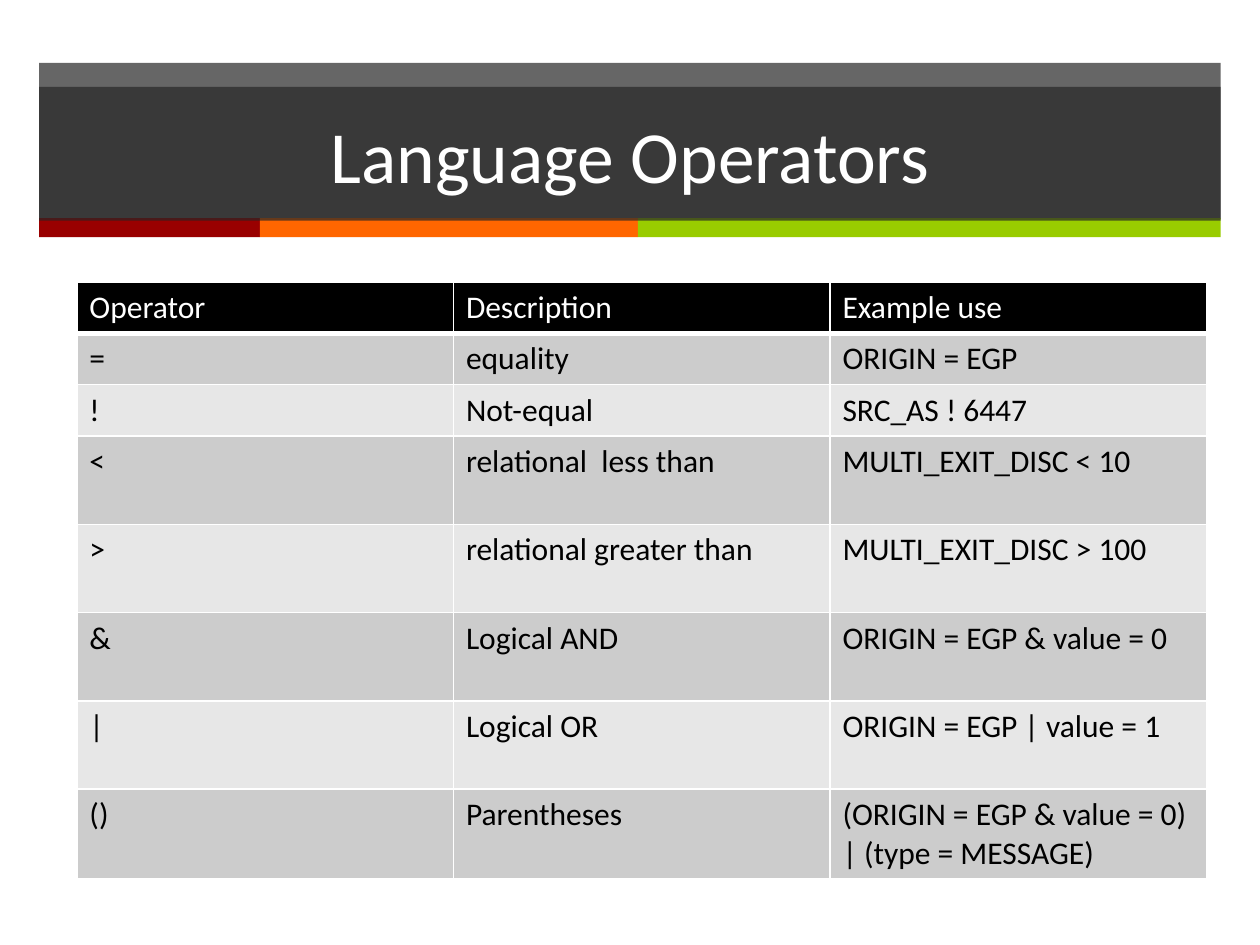
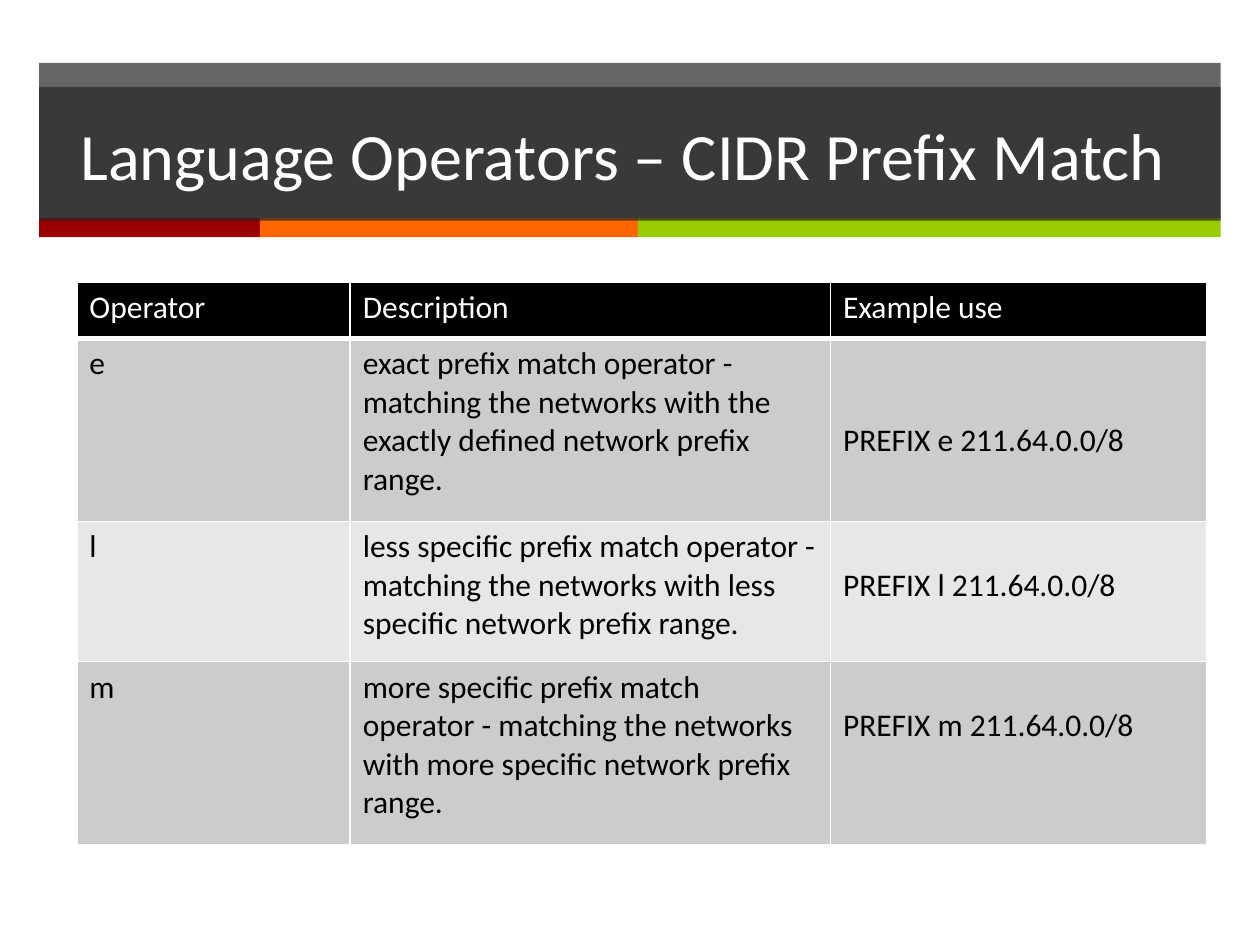
"""Build two slides that list the operators of a query language in tables."""
from dataclasses import dataclass
from typing import Optional

import lxml.etree
import pptx
import pptx.dml.color
import pptx.enum.shapes
import pptx.enum.text
import pptx.oxml.ns
import pptx.shapes.autoshape
import pptx.slide
import pptx.table
import pptx.text.text
import pptx.util

Cm = pptx.util.Cm
Pt = pptx.util.Pt
qn = pptx.oxml.ns.qn


@dataclass(frozen=True)
class Theme:
    font: str = "Calibri"
    white: str = "FFFFFF"
    black: str = "000000"
    band: str = "262626"
    band_opacity: int = 70
    stripes: tuple[str, ...] = ("990000", "FF6600", "99CC00")
    rows: tuple[str, ...] = ("CCCCCC", "E7E7E7")
    body_size: float = 18
    rule: float = 1
    header_rule: float = 3


@dataclass(frozen=True)
class Box:
    left: float
    top: float
    width: float
    height: float


@dataclass(frozen=True)
class Operator:
    symbol: str
    description: str
    example: str
    height: float
    example_drop: float = 0


@dataclass(frozen=True)
class OperatorSlide:
    title: str
    title_size: float
    columns: tuple[float, ...]
    header_height: float
    operators: tuple[Operator, ...]


THEME = Theme()
BAND = Box(0.79, 1.27, 23.82, 3.15)
TITLE = Box(0.79, 1.75, 23.82, 2.7)
STRIPE_TOP, STRIPE_HEIGHT = 4.4, 0.38
STRIPE_WIDTHS = (4.45, 7.62, 11.75)
TABLE_LEFT, TABLE_TOP = 1.55, 5.69
CELL_TOP = 0.13
LINE = 0.775
SHORT, TALL = 1.03, 1.78
HEADINGS = ("Operator", "Description", "Example use")

SLIDES = (
    OperatorSlide("Language Operators", 42, (7.59, 7.59, 7.59), SHORT, (
        Operator("=", "equality", "ORIGIN = EGP", SHORT),
        Operator("!", "Not-equal", "SRC_AS ! 6447", SHORT),
        Operator("<", "relational  less than", "MULTI_EXIT_DISC < 10", TALL),
        Operator(">", "relational greater than", "MULTI_EXIT_DISC > 100", TALL),
        Operator("&", "Logical AND", "ORIGIN = EGP & value = 0", TALL),
        Operator("|", "Logical OR", "ORIGIN = EGP | value = 1", TALL),
        Operator("()", "Parentheses",
                 "(ORIGIN = EGP & value = 0) | (type = MESSAGE)", TALL),
    )),
    OperatorSlide("Language Operators – CIDR Preﬁx Match ", 37.8, (5.51, 9.68, 7.59), 1.13, (
        Operator("e", "exact preﬁx match operator - matching the networks with the "
                 "exactly deﬁned network preﬁx range.",
                 "PREFIX e 211.64.0.0/8", 3.69, 2 * LINE),
        Operator("l", "less speciﬁc preﬁx match operator - matching the networks with "
                 "less speciﬁc network preﬁx range.",
                 "PREFIX l 211.64.0.0/8", 2.83, LINE),
        Operator("m", "more speciﬁc preﬁx match operator - matching the networks with "
                 "more speciﬁc network preﬁx\nrange.",
                 "PREFIX m 211.64.0.0/8", 3.69, LINE),
    )),
)


def rgb(color: str) -> pptx.dml.color.RGBColor:
    """Turn a hex string into a colour."""
    return pptx.dml.color.RGBColor.from_string(color)


def write(tf: pptx.text.text.TextFrame, text: str, *, size: float, color: str,
          align: Optional[pptx.enum.text.PP_ALIGN] = None) -> None:
    """Fill a text frame, one paragraph for each line of text."""
    for i, line in enumerate(text.split("\n")):
        p = tf.add_paragraph() if i else tf.paragraphs[0]
        p.alignment = align
        r = p.add_run()
        r.text = line
        r.font.name = THEME.font
        r.font.size = Pt(size)
        r.font.bold = False
        r.font.color.rgb = rgb(color)


def add_rect(s: pptx.slide.Slide, box: Box, color: str,
             opacity: int = 100) -> pptx.shapes.autoshape.Shape:
    """Draw a plain filled rectangle."""
    sp = s.shapes.add_shape(pptx.enum.shapes.MSO_SHAPE.RECTANGLE, Cm(box.left), Cm(box.top),
                            Cm(box.width), Cm(box.height))
    sp.shadow.inherit = False
    sp.line.fill.background()
    sp.fill.solid()
    sp.fill.fore_color.rgb = rgb(color)
    if opacity < 100:
        clr = sp.fill._xPr.find(f".//{qn('a:srgbClr')}")
        lxml.etree.SubElement(clr, qn("a:alpha"), val=str(opacity * 1000))
    return sp


def add_heading(s: pptx.slide.Slide, title: str, size: float) -> None:
    """Draw the band, the coloured stripes and the title over them."""
    add_rect(s, BAND, THEME.band, THEME.band_opacity)
    left = BAND.left
    for width, color in zip(STRIPE_WIDTHS, THEME.stripes):
        add_rect(s, Box(left, STRIPE_TOP, width, STRIPE_HEIGHT), color)
        left += width
    sp = add_rect(s, TITLE, THEME.band, THEME.band_opacity)
    tf = sp.text_frame
    tf.word_wrap = True
    tf.vertical_anchor = pptx.enum.text.MSO_ANCHOR.MIDDLE
    write(tf, title, size=size, color=THEME.white, align=pptx.enum.text.PP_ALIGN.CENTER)


def add_borders(cell: pptx.table._Cell, bottom: float) -> None:
    """Rule the four sides of a cell in white."""
    tc_pr = cell._tc.get_or_add_tcPr()
    for side in "LRTB":
        width = bottom if side == "B" else THEME.rule
        ln = lxml.etree.SubElement(tc_pr, qn(f"a:ln{side}"), w=str(Pt(width)))
        fill = lxml.etree.SubElement(ln, qn("a:solidFill"))
        lxml.etree.SubElement(fill, qn("a:srgbClr"), val=THEME.white)


def fill_cell(cell: pptx.table._Cell, text: str, *, fill: str, color: str,
              bottom: float = THEME.rule, drop: float = 0) -> None:
    """Format one cell, its text lowered by the given drop."""
    add_borders(cell, bottom)
    cell.fill.solid()
    cell.fill.fore_color.rgb = rgb(fill)
    cell.margin_top = Cm(CELL_TOP + drop)
    write(cell.text_frame, text, size=THEME.body_size, color=color)


def add_operator_table(s: pptx.slide.Slide, content: OperatorSlide) -> None:
    """Draw the table of operators."""
    heights = (content.header_height, *(op.height for op in content.operators))
    table = s.shapes.add_table(len(heights), len(HEADINGS), Cm(TABLE_LEFT), Cm(TABLE_TOP),
                               Cm(sum(content.columns)), Cm(sum(heights))).table
    for column, width in zip(table.columns, content.columns):
        column.width = Cm(width)
    for row, height in zip(table.rows, heights):
        row.height = Cm(height)
    for c, heading in enumerate(HEADINGS):
        fill_cell(table.cell(0, c), heading, fill=THEME.black, color=THEME.white,
                  bottom=THEME.header_rule)
    for i, op in enumerate(content.operators):
        drops = (0, 0, op.example_drop)
        for c, text in enumerate((op.symbol, op.description, op.example)):
            fill_cell(table.cell(i + 1, c), text, fill=THEME.rows[i % 2],
                      color=THEME.black, drop=drops[c])


def main() -> None:
    """Build and save the presentation."""
    prs = pptx.Presentation()
    prs.slide_width, prs.slide_height = Cm(25.4), Cm(19.05)
    for content in SLIDES:
        s = prs.slides.add_slide(prs.slide_layouts[6])
        add_heading(s, content.title, content.title_size)
        add_operator_table(s, content)
    prs.save("out.pptx")


if __name__ == "__main__":
    main()
